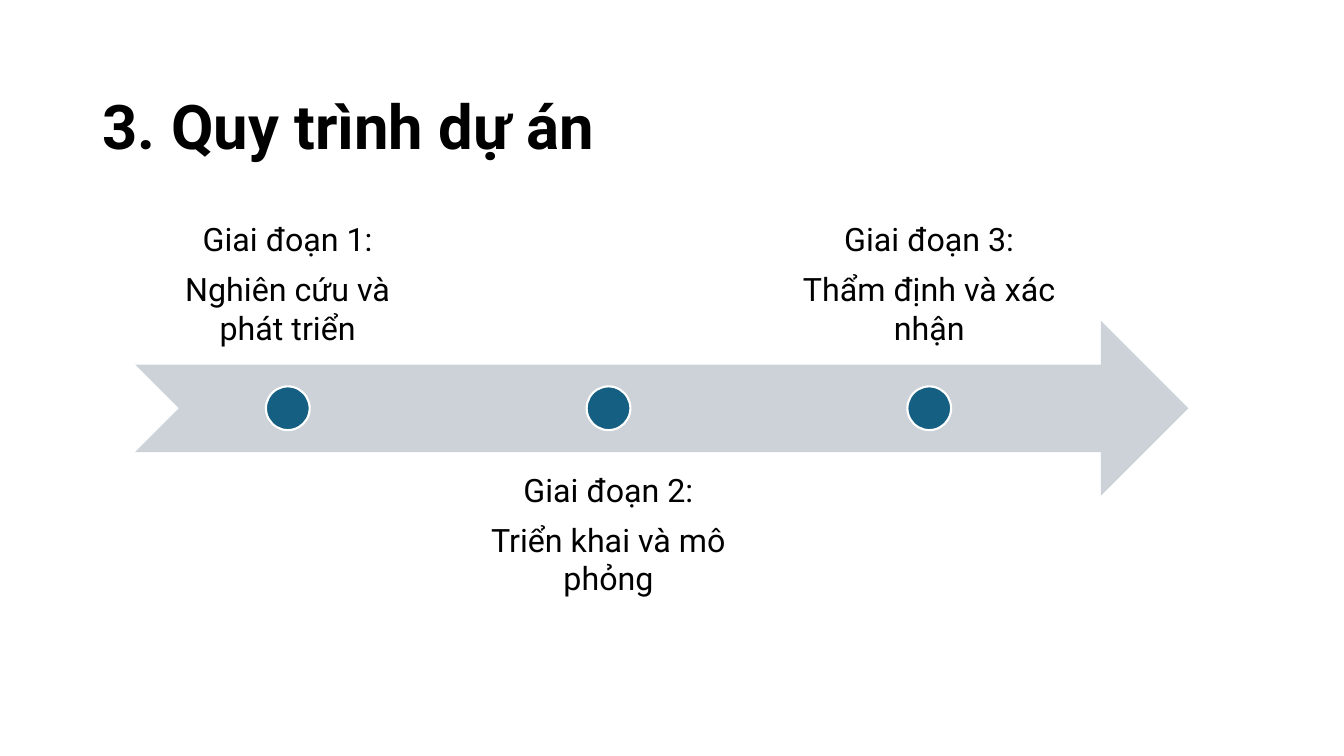
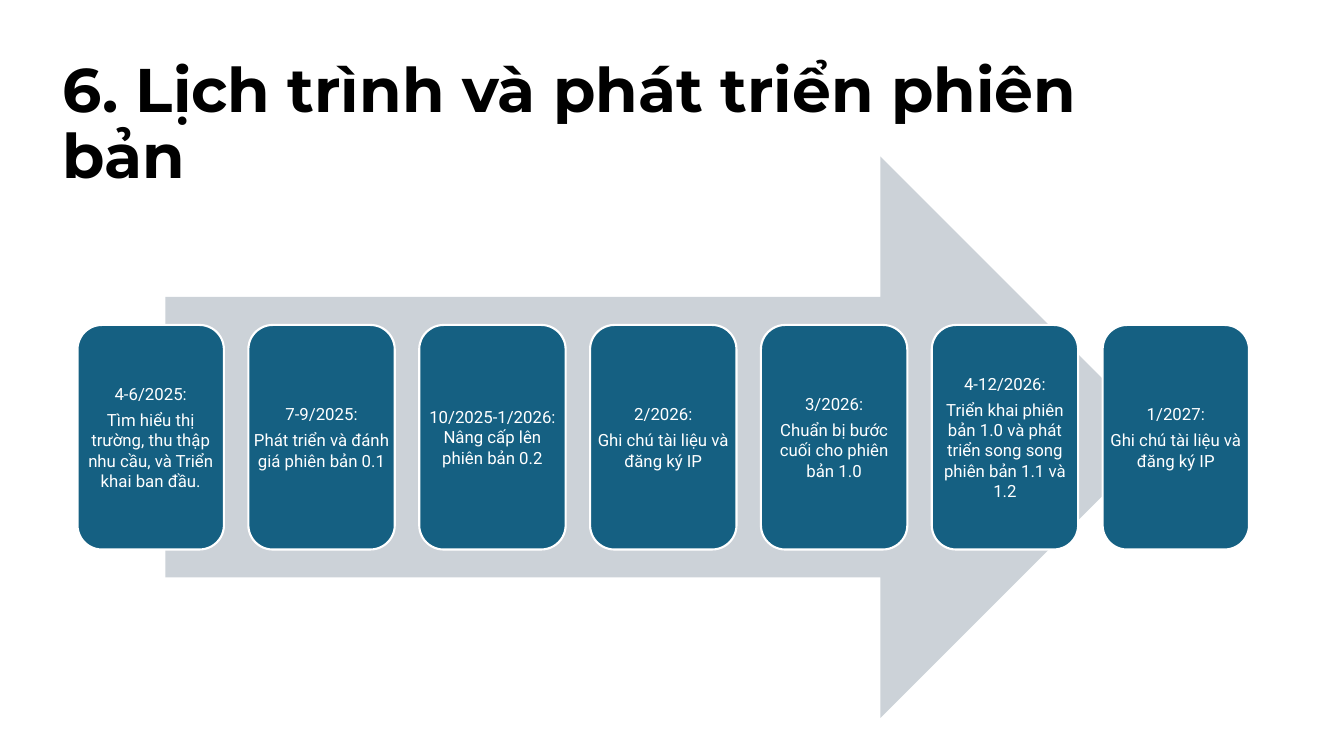
from collections import namedtuple

from pptx import Presentation
from pptx.dml.color import RGBColor
from pptx.enum.shapes import MSO_SHAPE as Shape
from pptx.enum.text import MSO_ANCHOR as Anchor, MSO_AUTO_SIZE as AutoSize, PP_ALIGN as Align
from pptx.util import Pt

Box = namedtuple("Box", "left top width height")

COLORS = {"text": "000000", "arrow": "CCD2D8", "accent": "156082", "light": "FFFFFF"}
BODY_FONT = "Roboto"
TITLE_SIZE = 44
PARAGRAPH_GAP = 0.35

STAGES = [
    ("Giai đoạn 1:", "Nghiên cứu và phát triển"),
    ("Giai đoạn 2:", "Triển khai và mô phỏng"),
    ("Giai đoạn 3:", "Thẩm định và xác nhận"),
]
RELEASES = [
    ("4-6/2025:", "Tìm hiểu thị trường, thu thập nhu cầu, và Triển khai ban đầu."),
    ("7-9/2025:", "Phát triển và đánh giá phiên bản 0.1"),
    ("10/2025-1/2026: Nâng cấp lên phiên bản 0.2",),
    ("2/2026:", "Ghi chú tài liệu và đăng ký IP"),
    ("3/2026:", "Chuẩn bị bước cuối cho phiên bản 1.0"),
    ("4-12/2026:", "Triển khai phiên bản 1.0 và phát triển song song phiên bản 1.1 và 1.2"),
    ("1/2027:", "Ghi chú tài liệu và đăng ký IP"),
]


def color(name):
    return RGBColor.from_string(COLORS[name])


def in_points(box):
    return [Pt(round(length, 2)) for length in box]


def style_run(run, font, size, color_name, bold=False):
    run.font.name = font
    run.font.size = Pt(size)
    run.font.bold = bold
    run.font.color.rgb = color(color_name)


def add_titled_slide(prs, text, box, font):
    slide = prs.slides.add_slide(prs.slide_layouts[5])
    title = slide.shapes.title
    title.left, title.top, title.width, title.height = in_points(box)
    frame = title.text_frame
    frame.text = text
    frame.word_wrap = True
    frame.auto_size = AutoSize.NONE
    frame.vertical_anchor = Anchor.MIDDLE
    heading = frame.paragraphs[0]
    heading.alignment = Align.LEFT
    heading.line_spacing = 0.9
    style_run(heading.runs[0], font, TITLE_SIZE, "text", bold=True)
    return slide


def add_figure(slide, preset, box, fill, outlined=False):
    figure = slide.shapes.add_shape(preset, *in_points(box))
    figure.shadow.inherit = False
    figure.fill.solid()
    figure.fill.fore_color.rgb = color(fill)
    if outlined:
        figure.line.color.rgb = color("light")
        figure.line.width = Pt(1.5)
    else:
        figure.line.fill.background()


def add_label(slide, box, lines, size, color_name, anchor, inset):
    frame = slide.shapes.add_textbox(*in_points(box)).text_frame
    frame.word_wrap = True
    frame.vertical_anchor = anchor
    frame.margin_left = frame.margin_right = Pt(inset)
    frame.margin_top = frame.margin_bottom = Pt(inset)
    frame.text = "\n".join(lines)
    for paragraph in frame.paragraphs:
        paragraph.alignment = Align.CENTER
        paragraph.space_after = Pt(round(size * PARAGRAPH_GAP, 2))
        style_run(paragraph.runs[0], BODY_FONT, size, color_name)


def add_stage_timeline(slide, box, stages):
    band = box.height * 0.4
    middle = box.top + box.height / 2
    add_figure(slide, Shape.NOTCHED_RIGHT_ARROW,
               Box(box.left, middle - band / 2, box.width, band), "arrow")
    label_width = box.width * 0.29
    dot = band / 4
    for index, lines in enumerate(stages):
        left = box.left + index * label_width * 1.05
        above = index % 2 == 0
        top = box.top if above else box.top + box.height - band
        add_label(slide, Box(left, top, label_width, band), lines, 23, "text",
                  Anchor.BOTTOM if above else Anchor.TOP, 12.9)
        add_figure(slide, Shape.OVAL,
                   Box(left + (label_width - dot) / 2, middle - dot / 2, dot, dot),
                   "accent", outlined=True)


def add_release_schedule(slide, box, releases):
    arrow_width = box.width * 0.85
    add_figure(slide, Shape.RIGHT_ARROW,
               Box(box.left + (box.width - arrow_width) / 2, box.top, arrow_width, box.height),
               "arrow")
    card_width = box.width / (len(releases) + 1)
    pitch = (box.width - card_width) / (len(releases) - 1)
    card_height = box.height * 0.4
    for index, lines in enumerate(releases):
        card = Box(box.left + index * pitch, box.top + (box.height - card_height) / 2,
                   card_width, card_height)
        add_figure(slide, Shape.ROUNDED_RECTANGLE, card, "accent", outlined=True)
        add_label(slide, card, lines, 12, "light", Anchor.MIDDLE, 3.6)


def main():
    prs = Presentation()
    prs.slide_width, prs.slide_height = Pt(960), Pt(540)

    process = add_titled_slide(prs, "3. Quy trình dự án", Box(66, 53, 828, 78.5), BODY_FONT)
    add_stage_timeline(process, Box(96.5, 135.4, 752.4, 312.5), STAGES)

    schedule = add_titled_slide(prs, "6. Lịch trình và phát triển phiên bản",
                                Box(37.5, 50.5, 828, 78.5), "Montserrat")
    add_release_schedule(schedule, Box(55.4, 111.8, 836.8, 401), RELEASES)

    prs.save("out.pptx")


if __name__ == "__main__":
    main()
